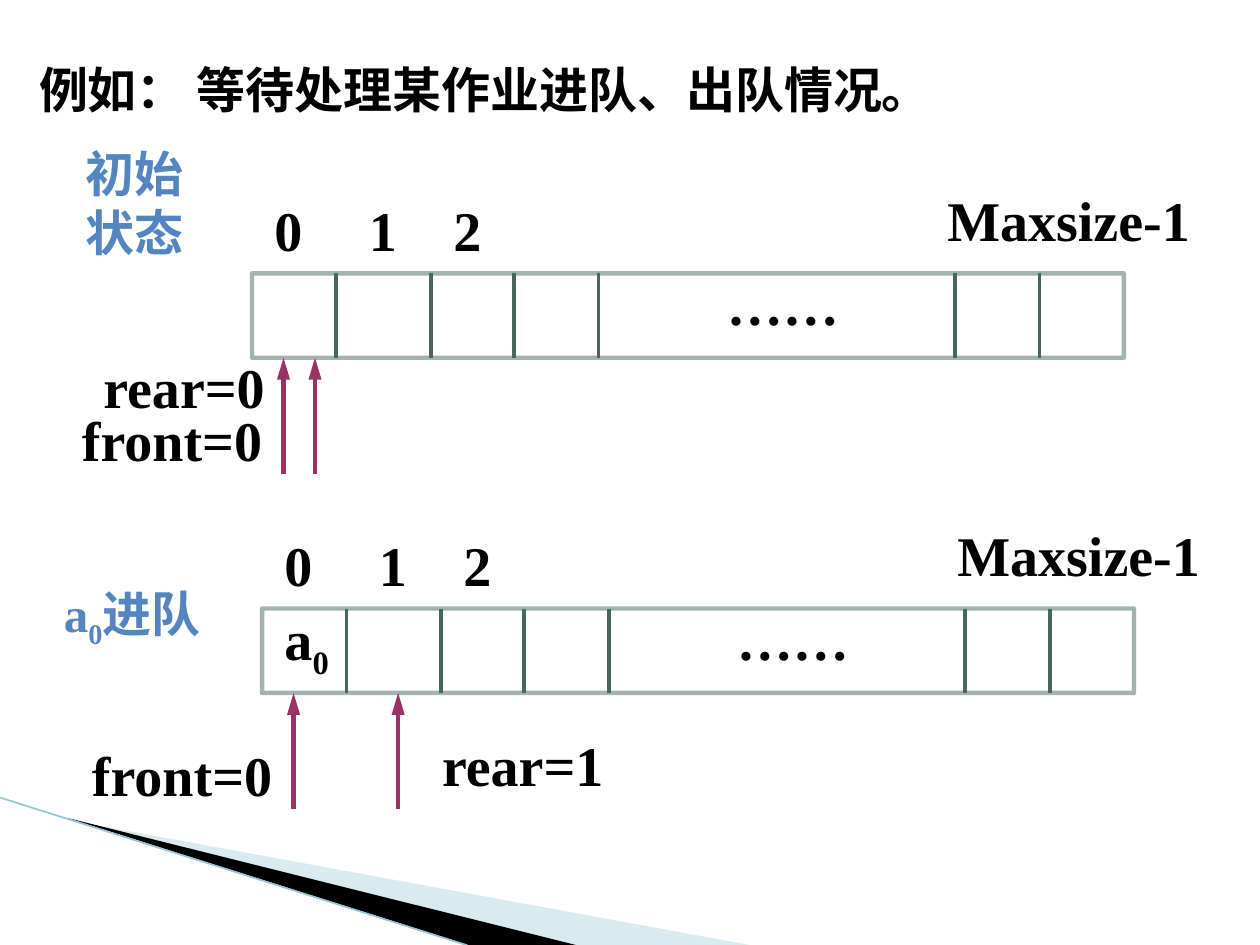
from lxml.etree import SubElement
from pptx import Presentation
from pptx.dml.color import RGBColor
from pptx.enum.shapes import MSO_CONNECTOR as Connector, MSO_SHAPE as Shape
from pptx.enum.text import MSO_ANCHOR as Anchor
from pptx.oxml.ns import qn
from pptx.util import Inches, Pt

BLACK = RGBColor(0x00, 0x00, 0x00)
BLUE = RGBColor(0x54, 0x85, 0xC0)
GREEN = RGBColor(0x46, 0x68, 0x61)
PLUM = RGBColor(0x99, 0x33, 0x66)
PALE_BLUE = RGBColor(0xA0, 0xCB, 0xDC)
EDGE_BLUE = RGBColor(0x97, 0xC5, 0xD8)

SERIF = "Times New Roman"
BAR_WIDTH, BAR_HEIGHT = 6.92, 0.67
LABEL_HEIGHT = 0.63
DIVIDERS = (0.67, 1.42, 2.08, 2.75, 5.58, 6.25)
INDEX_LABELS = (("0", 0.08), ("1", 0.83), ("2", 1.5))


def set_opacity(color_format, percent):
    color = color_format._xFill.find(qn("a:srgbClr"))
    SubElement(color, qn("a:alpha")).set("val", str(percent * 1000))


def add_run(paragraph, words, size, color, font=SERIF, subscript=False):
    run = paragraph.add_run()
    run.text = words
    run.font.name = font
    run.font.size = Pt(size)
    run.font.bold = True
    run.font.color.rgb = color
    if subscript:
        run._r.get_or_add_rPr().set("baseline", "-25000")


def add_label(shapes, left, top, width, parts, size=32, color=BLACK,
              height=LABEL_HEIGHT, inset=0.1):
    label = shapes.add_textbox(Inches(left), Inches(top), Inches(width), Inches(height))
    frame = label.text_frame
    frame.word_wrap = True
    frame.margin_left = Inches(inset)
    for words, subscript in parts:
        add_run(frame.paragraphs[0], words, size, color, subscript=subscript)


def add_line(shapes, start, end, color, width, arrow=False):
    points = [Inches(value) for value in (*start, *end)]
    line = shapes.add_connector(Connector.STRAIGHT, *points)
    line.line.color.rgb = color
    line.line.width = Pt(width)
    if arrow:
        head = SubElement(line.line._get_or_add_ln(), qn("a:tailEnd"))
        head.set("type", "triangle")
        head.set("w", "med")
        head.set("len", "lg")
    SubElement(line._element.spPr, qn("a:effectLst"))


def add_wedge(shapes, points, color, opacity=100):
    corners = [(Inches(x), Inches(y)) for x, y in points]
    builder = shapes.build_freeform(*corners[0])
    builder.add_line_segments(corners[1:], close=True)
    wedge = builder.convert_to_shape()
    wedge.shadow.inherit = False
    wedge.fill.solid()
    wedge.fill.fore_color.rgb = color
    wedge.line.fill.background()
    if opacity < 100:
        set_opacity(wedge.fill.fore_color, opacity)


def add_corner(shapes, left, top, bottom):
    add_wedge(shapes, ((left + 0.55, top + 0.18), (left + 5.95, bottom),
                       (left + 4.56, bottom)), PALE_BLUE, 40)
    add_wedge(shapes, ((left + 0.53, top + 0.16), (left + 4.57, bottom),
                       (left + 3.72, bottom)), BLACK)
    add_line(shapes, (left, top), (left + 3.7, bottom), EDGE_BLUE, 0.95)


def add_heading(slide, left, top, width, height):
    slide.shapes.title._element.getparent().remove(slide.shapes.title._element)
    heading = slide.placeholders[1]
    heading.left, heading.top = Inches(left), Inches(top)
    heading.width, heading.height = Inches(width), Inches(height)
    frame = heading.text_frame
    frame.margin_left = Inches(0.31)
    frame.vertical_anchor = Anchor.TOP
    paragraph = frame.paragraphs[0]
    properties = paragraph._p.get_or_add_pPr()
    properties.set("marL", "0")
    properties.set("indent", "0")
    SubElement(properties, qn("a:buNone"))
    paragraph.line_spacing = 1.2
    paragraph.space_before = Pt(0)
    add_run(paragraph, "例如： 等待处理某作业进队、出队情况。", 28, BLACK, font="Arial")


def add_queue(shapes, left, top, pointers):
    bottom = top + BAR_HEIGHT
    bar = shapes.add_shape(Shape.RECTANGLE, Inches(left), Inches(top),
                           Inches(BAR_WIDTH), Inches(BAR_HEIGHT))
    bar.shadow.inherit = False
    bar.fill.background()
    bar.line.color.rgb = GREEN
    bar.line.width = Pt(2.5)
    set_opacity(bar.line.color, 50) if hasattr(bar.line.color, "_xFill") else None
    for color in bar.line._get_or_add_ln().iter(qn("a:srgbClr")):
        if color.find(qn("a:alpha")) is None:
            SubElement(color, qn("a:alpha")).set("val", "50000")
    for offset in DIVIDERS:
        add_line(shapes, (left + offset, top), (left + offset, bottom), GREEN, 2.25)
    for index, offset in INDEX_LABELS:
        add_label(shapes, left + offset, top - 0.67, 0.5, [(index, False)])
    add_label(shapes, left + 5.42, top - 0.75, 2.17, [("Maxsize-1", False)])
    add_label(shapes, left + 3.67, top - 0.08, 1.25, [("……", False)])
    for offset in pointers:
        add_line(shapes, (left + offset, bottom + 0.92), (left + offset, bottom),
                 PLUM, 2.5, arrow=True)
    add_label(shapes, left - 1.67, top + 1, 2.25, [("front=0", False)], inset=0.32)


def add_initial_state(shapes, left, top):
    add_queue(shapes, left, top, pointers=(0.25, 0.5))
    add_label(shapes, left - 1.5, top + 0.58, 1.92, [("rear=0", False)], inset=0.32)
    add_label(shapes, left - 1.42, top - 1.08, 1, [("初始状态", False)],
              size=28, color=BLUE, height=1.03)


def add_enqueued_state(shapes, left, top):
    element = [("a", False), ("0", True)]
    add_queue(shapes, left, top, pointers=(0.25, 1.08))
    add_label(shapes, left + 1.33, top + 0.92, 1.92, [("rear=1", False)])
    add_label(shapes, left + 0.08, top - 0.08, 0.83, element)
    add_label(shapes, left - 1.67, top - 0.25, 1.67, element + [("进队", False)],
              size=28, color=BLUE, height=0.57)


def main():
    deck = Presentation()
    deck.slide_width, deck.slide_height = Inches(10), Inches(7.5)
    slide = deck.slides.add_slide(deck.slide_layouts[1])
    add_corner(slide.shapes, 0, 6.33, 7.5)
    add_heading(slide, 0, 0.33, 10, 0.67)
    add_enqueued_state(slide.shapes.add_group_shape().shapes, 2.08, 4.83)
    add_initial_state(slide.shapes.add_group_shape().shapes, 2, 2.17)
    deck.save("out.pptx")


if __name__ == "__main__":
    main()
